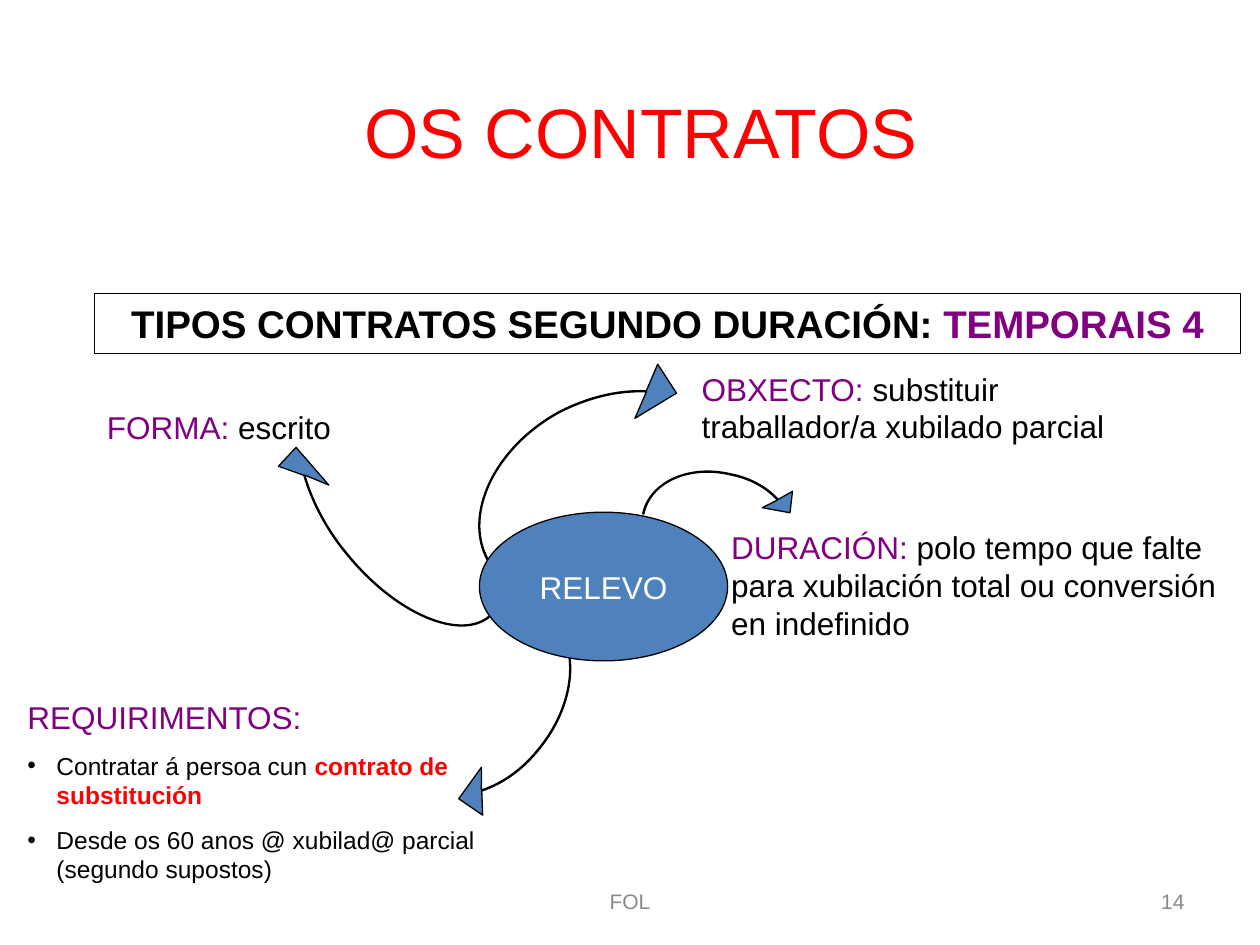
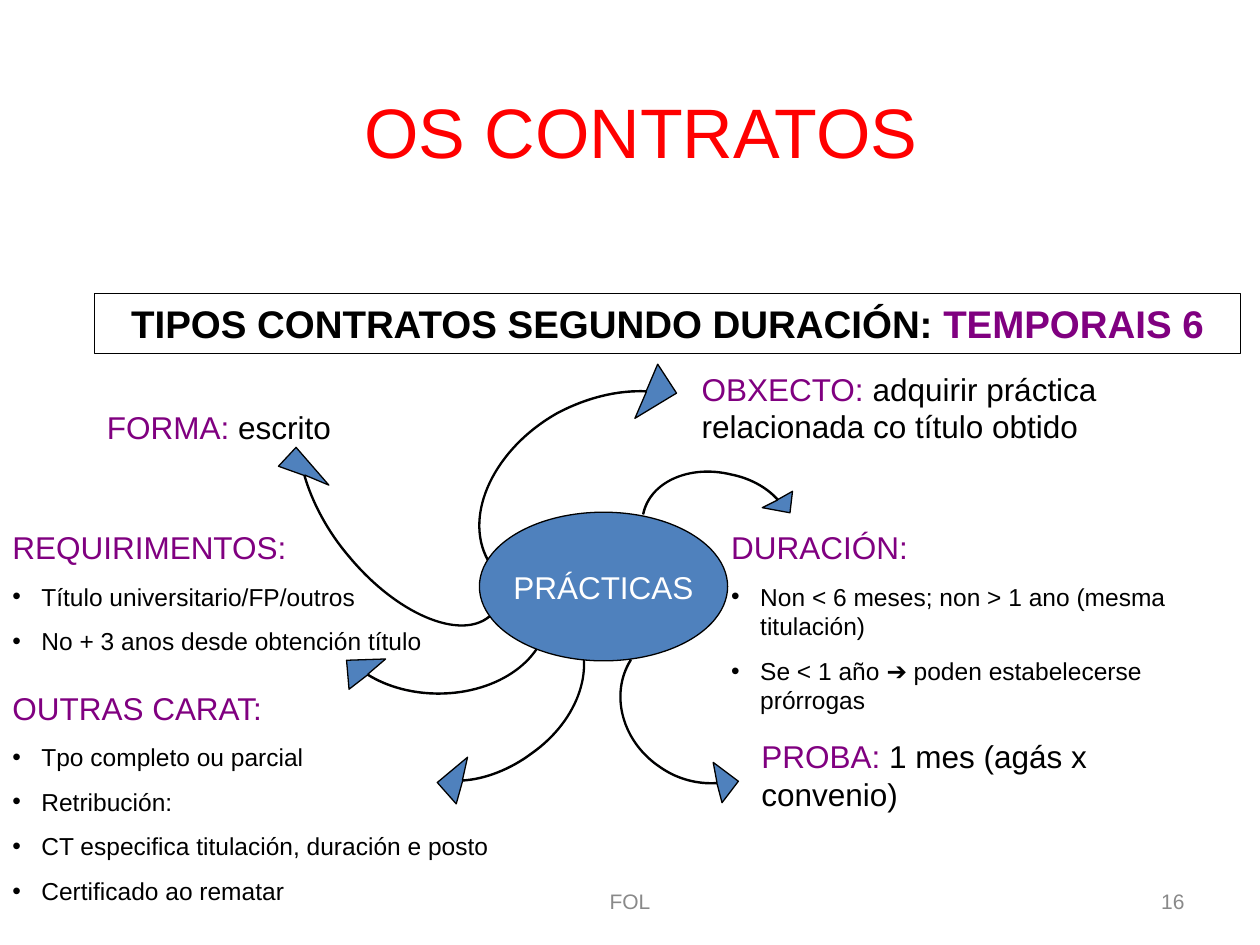
from dataclasses import dataclass
from math import cos, hypot, radians, sin

from lxml import etree
from pptx import Presentation
from pptx import util as u
from pptx.dml.color import RGBColor
from pptx.enum import shapes, text
from pptx.oxml.ns import qn

COLS, ROWS = 100, 75
CELL = u.Inches(0.1)


@dataclass(frozen=True)
class Theme:
    font: str = "Arial"
    ink: str = "000000"
    red: str = "FF0000"
    plum: str = "800080"
    blue: str = "4F81BD"
    pale: str = "FFFFFF"
    grey: str = "898989"
    title: int = 40
    band: int = 22
    head: int = 18
    item: int = 14
    foot: int = 12
    edge: float = 0.75
    gap: float = 8.8
    dent: float = 0.23


@dataclass(frozen=True)
class Box:
    left: float
    top: float
    wide: float
    high: float

    def sub(self, left, top, wide, high):
        return Box(self.left + left, self.top + top, wide, high)

    def emu(self):
        cells = self.left, self.top, self.wide, self.high
        return [round(n * CELL) for n in cells]


T = Theme()
PAGE = Box(0, 0, COLS, ROWS)
MID = text.MSO_ANCHOR.MIDDLE
ALIGN = text.PP_ALIGN


def rgb(code):
    return RGBColor.from_string(code)


def add_run(para, words, size, tint=T.ink, bold=False):
    run = para.add_run()
    run.text = words
    font = run.font
    font.name, font.size, font.bold = T.font, u.Pt(size), bold
    font.color.rgb = rgb(tint)


def add_dot(para):
    props = para._p.get_or_add_pPr()
    dent = u.Inches(T.dent)
    props.set("marL", str(dent))
    props.set("indent", str(-dent))
    tint = etree.SubElement(props, qn("a:buClr"))
    etree.SubElement(tint, qn("a:srgbClr"), val=T.ink)
    etree.SubElement(props, qn("a:buFont"), typeface=T.font)
    etree.SubElement(props, qn("a:buChar"), char="•")
    para.space_before = u.Pt(T.gap)


def paint(shape, fill=None):
    shape.shadow.inherit = False
    if fill:
        shape.fill.solid()
        shape.fill.fore_color.rgb = rgb(fill)
    else:
        shape.fill.background()
    shape.line.color.rgb = rgb(T.ink)
    shape.line.width = u.Pt(T.edge)


def add_label(slide, box, words, size, tint, align=ALIGN.CENTER):
    frame = slide.shapes.add_textbox(*box.emu()).text_frame
    frame.word_wrap = True
    frame.vertical_anchor = MID
    para = frame.paragraphs[0]
    para.alignment = align
    add_run(para, words, size, tint)


def add_panel(slide, box, kind, runs, size, fill=None):
    shape = slide.shapes.add_shape(kind, *box.emu())
    paint(shape, fill)
    frame = shape.text_frame
    frame.word_wrap = False
    frame.vertical_anchor = MID
    para = frame.paragraphs[0]
    para.alignment = ALIGN.CENTER
    for words, tint, bold in runs:
        add_run(para, words, size, tint, bold)


def add_note(slide, box, head, body="", items=()):
    frame = slide.shapes.add_textbox(*box.emu()).text_frame
    frame.word_wrap = True
    frame.auto_size = text.MSO_AUTO_SIZE.SHAPE_TO_FIT_TEXT
    para = frame.paragraphs[0]
    add_run(para, head, T.head, T.plum)
    if body:
        add_run(para, body, T.head)
    for item in items:
        para = frame.add_paragraph()
        add_dot(para)
        for run in item:
            add_run(para, run[0], T.item, *run[1:])


def shift(dots, toward, gap=0.09):
    (x, y), (nx, ny) = dots[:2]
    turn = (toward[1] - y) * (nx - x) - (toward[0] - x) * (ny - y)
    side = gap if turn > 0 else -gap
    moved = []
    for i, (x, y) in enumerate(dots):
        ax, ay = dots[max(i - 1, 0)]
        bx, by = dots[min(i + 1, len(dots) - 1)]
        size = hypot(bx - ax, by - ay)
        moved.append((x - side * (by - ay) / size, y + side * (bx - ax) / size))
    return moved


def unturn(dot, frame, angle):
    left, top, wide, high = frame
    dx, dy = dot[0] - left - wide / 2, dot[1] - top - high / 2
    c, s = cos(radians(angle)), sin(radians(angle))
    return (round((dx * c + dy * s + wide / 2) * CELL),
            round((dy * c - dx * s + high / 2) * CELL))


def add_step(outline, name, dots):
    step = etree.SubElement(outline, qn("a:" + name))
    for x, y in dots:
        etree.SubElement(step, qn("a:pt"), x=str(x), y=str(y))


def add_arrow(slide, box, frame, angle, curve, tip):
    def local(dots):
        return [unturn(dot, frame, angle) for dot in dots]

    out, back = local(curve), local(shift(curve, tip[0])[::-1])
    head = local(tip) + out[:1]
    pen = slide.shapes.build_freeform(*out[0])
    pen.add_line_segments(head)
    shape = pen.convert_to_shape()
    place = box.sub(*frame).emu()
    shape.left, shape.top, shape.width, shape.height = place
    shape.rotation = angle
    outline = next(shape._element.iter(qn("a:path")))
    for child in list(outline):
        outline.remove(child)
    outline.set("w", str(place[2]))
    outline.set("h", str(place[3]))
    add_step(outline, "moveTo", out[:1])
    add_step(outline, "cubicBezTo", out[1:4])
    add_step(outline, "cubicBezTo", out[4:])
    add_step(outline, "lnTo", back[:1])
    add_step(outline, "cubicBezTo", back[1:4])
    add_step(outline, "cubicBezTo", back[4:])
    for dot in head:
        add_step(outline, "lnTo", [dot])
    add_step(outline, "close", [])
    paint(shape, T.blue)


def add_top(slide, box, tag):
    add_label(slide, box.sub(8.25, 2.35, 85.2, 16), "OS CONTRATOS", T.title, T.red)
    runs = [("TIPOS CONTRATOS SEGUNDO DURACIÓN: ", T.ink, True),
            (tag, T.plum, True)]
    add_panel(slide, box.sub(7.5, 23.3, 90.95, 4.75),
              shapes.MSO_SHAPE.RECTANGLE, runs, T.band)


def add_foot(slide, box, number):
    add_label(slide, box.sub(34.15, 69.5, 31.7, 4), "FOL", T.foot, T.grey)
    add_label(slide, box.sub(71.7, 69.5, 23.3, 4), number, T.foot, T.grey,
              ALIGN.RIGHT)


def add_map(slide, box, hub, arrows, notes):
    for arrow in arrows:
        add_arrow(slide, box, *arrow)
    add_panel(slide, box.sub(38.05, 40.65, 19.7, 11.8), shapes.MSO_SHAPE.OVAL,
              [(hub, T.pale, False)], T.head, T.blue)
    for place, *words in notes:
        add_note(slide, box.sub(*place), *words)


def add_page(deck, number, tag, hub, arrows, notes):
    slide = deck.slides.add_slide(deck.slide_layouts[6])
    add_top(slide, PAGE, tag)
    add_map(slide, PAGE, hub, arrows, notes)
    add_foot(slide, PAGE, number)


FORM = ((20.9, 35.1, 21.9, 11), 230,
        [(24.2, 37.7), (24.8, 39.8), (26, 42.1), (27.7, 44.1),
         (31.5, 48.7), (36.5, 50.8), (38.8, 48.9)],
        [(22.1, 37), (23.5, 35.5), (26.1, 38.5)])
GOAL = ((37.3, 31.8, 21.3, 15.2), 331,
        [(51.3, 31.1), (49, 31), (46.6, 31.6), (44.3, 32.8),
         (39.3, 35.6), (36.8, 40.8), (38.75, 44.4)],
        [(52.2, 28.9), (53.7, 31.2), (50.4, 33.2)])
TERM = ((50.8, 37.5, 12.3, 9.4), 13,
        [(61.7, 39.7), (60.8, 38.7), (59.5, 38), (58, 37.7),
         (54.7, 36.9), (51.6, 38.3), (51.1, 40.8)],
        [(62.9, 39), (62.7, 40.7), (60.5, 40.3)])
NEEDS = ((29.4, 49.1, 17.3, 12.6), 128.1,
         [(38.2, 62.7), (40, 62.1), (41.6, 60.9), (42.9, 59.2),
          (45.8, 55.5), (46, 50.8), (43.3, 48.7)],
         [(38.3, 64.7), (36.4, 63.4), (38.2, 60.9)])
TITLE = ((26.2, 42.5, 17.3, 12.6), 180,
         [(29.2, 53.5), (30.8, 54.5), (32.8, 55), (34.8, 55),
          (39.6, 55), (43.4, 52.2), (43.4, 48.8)],
         [(27.7, 54.7), (27.5, 52.4), (30.6, 52.3)])
OTHER = ((29.8, 48.5, 17.3, 12.6), 144,
         [(36.7, 61.9), (38.5, 61.8), (40.5, 61), (42.1, 59.8),
          (46, 57.1), (47.4, 52.6), (45.4, 49.8)],
         [(36.2, 63.8), (34.7, 62.1), (37.1, 60.1)])
TRIAL = ((49, 50.1, 13.4, 11.8), 213,
         [(56.9, 62.1), (55.4, 62.2), (53.8, 61.8), (52.5, 60.9),
          (49.4, 58.9), (48.4, 55.1), (50.1, 52.4)],
         [(57.3, 63.7), (58.6, 62), (56.6, 60.5)])
SHARED = [FORM, GOAL, TERM]
WRITTEN = ((7.5, 31.9, 33.1, 4), "FORMA: ", "escrito")

RELIEF = [
    WRITTEN,
    ((54.7, 28.85, 38.6, 7), "OBXECTO: ",
     "substituir traballador/a xubilado parcial"),
    ((57.05, 41.45, 41.4, 10), "DURACIÓN: ",
     "polo tempo que falte para xubilación total ou conversión en indefinido"),
    ((1.2, 54.87, 39.4, 15.8), "REQUIRIMENTOS:", "", [
        [("Contratar á persoa cun ",),
         ("contrato de substitución", T.red, True)],
        [("Desde os 60 anos @ xubilad@ parcial (segundo supostos)",)]]),
]

INTERN = [
    WRITTEN,
    ((54.7, 28.85, 41.7, 7), "OBXECTO: ",
     "adquirir práctica relacionada co título obtido"),
    ((57.05, 41.45, 42.9, 13.5), "DURACIÓN:", "", [
        [("Non < 6 meses; non > 1 ano (mesma titulación)",)],
        [("Se < 1 año ➔ poden estabelecerse prórrogas",)]]),
    ((0, 41.45, 44.9, 11.1), "REQUIRIMENTOS:", "", [
        [("Título universitario/FP/outros",)],
        [("No + 3 anos desde obtención título",)]]),
    ((59.45, 58, 39, 7), "PROBA: ", "1 mes (agás x convenio)"),
    ((0, 54.17, 50.8, 18.2), "OUTRAS CARAT:", "", [
        [("Tpo completo ou parcial",)],
        [("Retribución:",)],
        [("CT especifica titulación, duración e posto",)],
        [("Certificado ao rematar",)]]),
]


def main():
    deck = Presentation()
    deck.slide_width, deck.slide_height = COLS * CELL, ROWS * CELL
    add_page(deck, "14", "TEMPORAIS 4", "RELEVO", SHARED + [NEEDS], RELIEF)
    add_page(deck, "16", "TEMPORAIS 6", "PRÁCTICAS",
             SHARED + [TITLE, OTHER, TRIAL], INTERN)
    deck.save("out.pptx")


if __name__ == "__main__":
    main()
